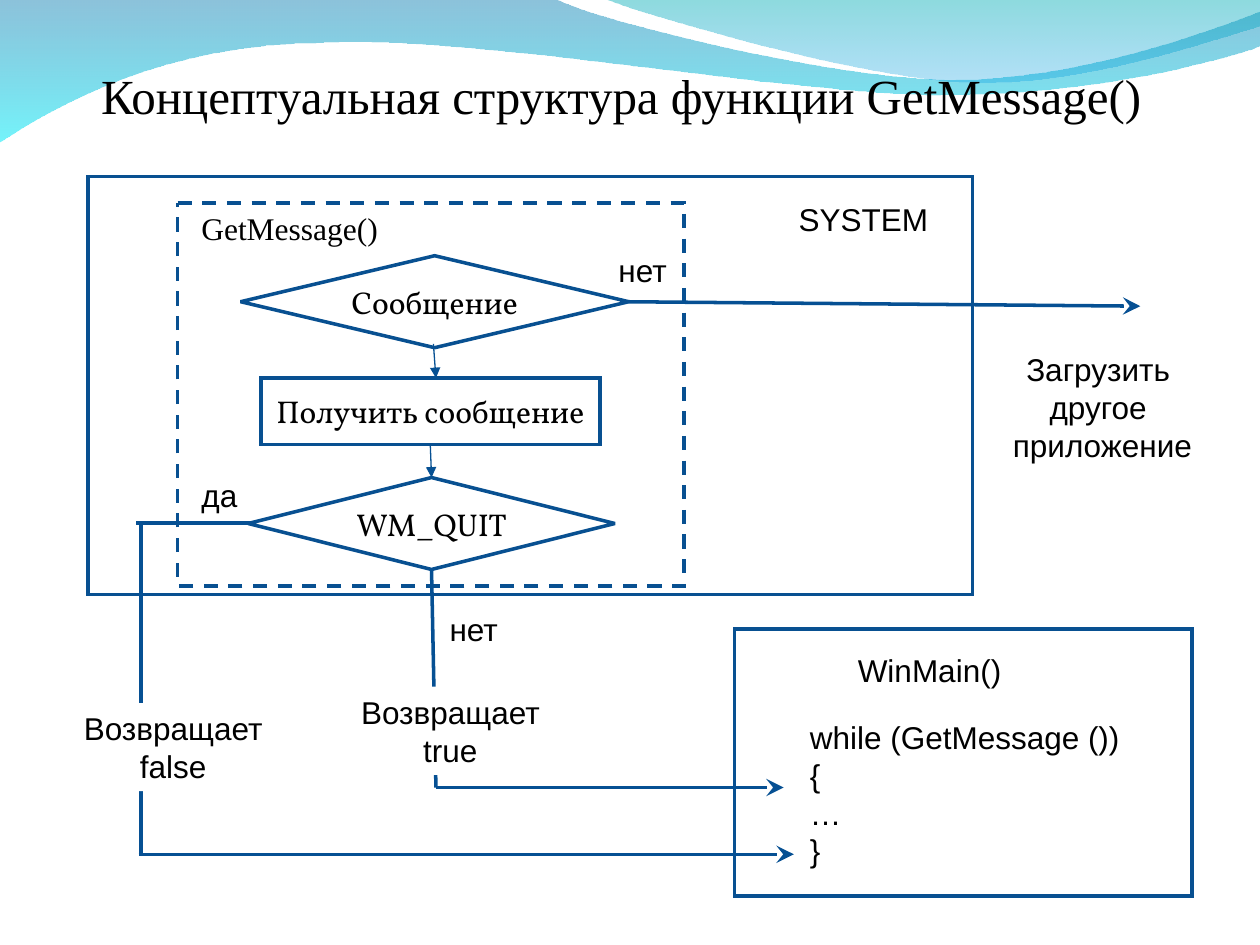
from dataclasses import dataclass
from itertools import chain
from typing import Optional

from lxml.etree import SubElement
from pptx import Presentation
from pptx.dml.color import RGBColor
from pptx.enum.dml import MSO_LINE
from pptx.enum.shapes import MSO_CONNECTOR, MSO_SHAPE as Preset
from pptx.enum.text import MSO_ANCHOR as Anchor, MSO_AUTO_SIZE, PP_ALIGN as Align
from pptx.oxml.ns import qn
from pptx.util import Inches, Pt

NAVY = RGBColor(0x08, 0x50, 0x91)
LINE_BLUE = RGBColor(0x06, 0x50, 0x93)
BLACK = RGBColor(0, 0, 0)
WHITE = RGBColor(0xFF, 0xFF, 0xFF)
WAVE_BLUE = RGBColor(0x00, 0x79, 0xAF)
WAVE_CYAN = RGBColor(0x00, 0xEB, 0xF8)
WAVE_TEAL = RGBColor(0x00, 0xAD, 0xB6)
WAVE_SKY = RGBColor(0x00, 0x9B, 0xE5)
TOP, LEFT, BOTTOM, RIGHT = range(4)
HEAD_SIZES = {"triangle": "med", "stealth": "lg"}


@dataclass
class Wave:
    start: tuple
    segments: list
    stops: list


@dataclass
class Block:
    name: str
    preset: Preset
    area: tuple
    text: str = ""
    dashed: bool = False


@dataclass
class Label:
    text: str
    area: tuple
    font: str = "Arial"
    align: Align = Align.LEFT
    filled: bool = False
    wrap: bool = False


@dataclass
class Link:
    start: tuple
    end: tuple
    width: float = 2
    head: Optional[str] = None
    source: Optional[tuple] = None
    target: Optional[tuple] = None


WAVES = [
    Wave((0, -0.01), [
        [(4.4, -0.01)],
        [(4.76, 0.17), (6.64, 0.63), (7.58, 0.63)],
        [(8.53, 0.63), (9.58, 0.26), (10, 0.09)],
        [(10.01, 0.36)],
        [(9.83, 0.44), (8.7, 0.76), (7.46, 0.75)],
        [(6.22, 0.75), (3.82, 0.28), (2.57, 0.34)],
        [(1.29, 0.35), (0.46, 0.83), (-0.01, 1.13)],
        [(0, -0.01)],
    ], [(WAVE_BLUE, 45), (WAVE_CYAN, 55)]),
    Wave((4.79, -0.01), [
        [(5.09, 0.11), (6.82, 0.62), (7.69, 0.65)],
        [(8.56, 0.69), (9.61, 0.32), (10, 0.21)],
        [(10, 0)],
        [(4.79, -0.01)],
    ], [(WAVE_TEAL, 45), (WAVE_SKY, 30)]),
]

BLOCKS = [
    Block("message", Preset.FLOWCHART_DECISION, (1.91, 2.03, 3.08, 0.73), "Сообщение"),
    Block("quit", Preset.FLOWCHART_DECISION, (1.97, 3.79, 2.91, 0.73), "WM_QUIT"),
    Block("receive", Preset.FLOWCHART_PROCESS, (2.07, 3, 2.69, 0.53), "Получить сообщение"),
    Block("win_main", Preset.FLOWCHART_PROCESS, (5.83, 4.99, 3.63, 2.12)),
    Block("system", Preset.FLOWCHART_PROCESS, (0.7, 1.4, 7.02, 3.32)),
    Block("get_message", Preset.FLOWCHART_PROCESS, (1.41, 1.61, 4.02, 3.04), dashed=True),
]

LINKS = [
    Link((3.44, 2.73), (3.46, 3), 0.75, "triangle"),
    Link((3.41, 3.53), (3.42, 3.79), 0.75, "triangle", ("receive", BOTTOM), ("quit", TOP)),
    Link((4.99, 2.4), (9.05, 2.43), head="stealth", source=("message", RIGHT)),
    Link((3.42, 4.52), (3.46, 6.25), source=("quit", BOTTOM)),
    Link((3.46, 6.25), (6.22, 6.25), head="stealth"),
    Link((1.08, 4.15), (2.02, 4.15)),
    Link((1.12, 4.14), (1.12, 6.79)),
    Link((1.1, 6.78), (6.3, 6.78), head="stealth"),
]

LABELS = [
    Label("WinMain()", (6.71, 5.12, 1.34, 0.4)),
    Label("while (GetMessage ())\n{\n…\n}", (6.33, 5.65, 2.66, 1.3)),
    Label("GetMessage()", (1.5, 1.61, 1.6, 0.4), font="Times New Roman"),
    Label("SYSTEM", (6.24, 1.54, 1.39, 0.4)),
    Label("да", (1.5, 3.73, 0.48, 0.4)),
    Label("нет", (3.47, 4.79, 0.59, 0.4)),
    Label("Возвращает\nfalse", (0.56, 5.58, 1.63, 0.7), align=Align.CENTER, filled=True),
    Label("Возвращает\ntrue", (2.76, 5.45, 1.63, 0.7), align=Align.CENTER, filled=True),
    Label("нет", (4.81, 1.94, 0.59, 0.4)),
    Label("Загрузить \nдругое \nприложение", (7.89, 2.73, 1.72, 1), align=Align.CENTER,
          filled=True, wrap=True),
]


def write_text(shape, text: str, *, font: str = "Arial", size: float = 18,
               align: Align = Align.LEFT, anchor: Anchor = Anchor.TOP,
               wrap: bool = False) -> None:
    frame = shape.text_frame
    frame.auto_size = MSO_AUTO_SIZE.NONE
    frame.word_wrap = wrap
    frame.vertical_anchor = anchor
    frame.text = text
    for para in frame.paragraphs:
        para.alignment = align
        for span in para.runs:
            span.font.name = font
            span.font.size = Pt(size)
            span.font.color.rgb = BLACK


def bend_segments(shape, segments: list) -> None:
    steps = iter(list(shape._element.iter(qn("a:lnTo"))))
    for segment in segments:
        parts = [next(steps) for _ in segment]
        if len(parts) == 3:
            curve = parts[0].makeelement(qn("a:cubicBezTo"))
            parts[0].addprevious(curve)
            for part in parts:
                curve.append(part[0])
                part.getparent().remove(part)


def draw_wave(page, wave: Wave) -> None:
    builder = page.shapes.build_freeform(*map(Inches, wave.start))
    points = chain.from_iterable(wave.segments)
    builder.add_line_segments([(Inches(x), Inches(y)) for x, y in points], close=True)
    shape = builder.convert_to_shape()
    bend_segments(shape, wave.segments)
    shape.shadow.inherit = False
    shape.line.fill.background()
    shape.fill.gradient()
    shape.fill.gradient_angle = 270
    for stop, (color, _) in zip(shape.fill.gradient_stops, wave.stops):
        stop.color.rgb = color
    tints = shape._element.spPr.iter(qn("a:srgbClr"))
    for tint, (_, opacity) in zip(tints, wave.stops):
        SubElement(tint, qn("a:alpha"), val=str(opacity * 1000))


def draw_block(page, block: Block):
    shape = page.shapes.add_shape(block.preset, *map(Inches, block.area))
    shape.shadow.inherit = False
    shape.fill.background()
    shape.line.color.rgb = NAVY
    shape.line.width = Pt(2)
    if block.dashed:
        shape.line.dash_style = MSO_LINE.DASH
    SubElement(shape.line._get_or_add_ln(), qn("a:miter"), lim="800000")
    if block.text:
        write_text(shape, block.text, font="Vollkorn", align=Align.CENTER, anchor=Anchor.MIDDLE)
    return shape


def draw_link(page, link: Link, blocks: dict) -> None:
    line = page.shapes.add_connector(MSO_CONNECTOR.STRAIGHT, *map(Inches, link.start + link.end))
    if link.source:
        line.begin_connect(blocks[link.source[0]], link.source[1])
    if link.target:
        line.end_connect(blocks[link.target[0]], link.target[1])
    line.line.color.rgb = LINE_BLUE
    line.line.width = Pt(link.width)
    if link.head:
        size = HEAD_SIZES[link.head]
        SubElement(line.line._get_or_add_ln(), qn("a:tailEnd"), type=link.head, w=size, len=size)
    SubElement(line._element.spPr, qn("a:effectLst"))


def draw_label(page, label: Label) -> None:
    box = page.shapes.add_textbox(*map(Inches, label.area))
    if label.filled:
        box.fill.solid()
        box.fill.fore_color.rgb = WHITE
    write_text(box, label.text, font=label.font, align=label.align, wrap=label.wrap)


def main() -> None:
    deck = Presentation()
    deck.slide_width, deck.slide_height = Inches(10), Inches(7.5)
    page = deck.slides.add_slide(deck.slide_layouts[5])
    for wave in WAVES:
        draw_wave(page, wave)
    blocks = {block.name: draw_block(page, block) for block in BLOCKS}
    for link in LINKS:
        draw_link(page, link, blocks)
    for label in LABELS:
        draw_label(page, label)
    title = page.shapes.title
    title.left, title.top, title.width, title.height = map(Inches, (0.36, 0.47, 9.14, 0.57))
    write_text(title, "Концептуальная структура функции GetMessage()", font="Times New Roman",
               size=28, align=Align.CENTER, wrap=True)
    page.shapes._spTree.append(title._element)
    deck.save("out.pptx")


if __name__ == "__main__":
    main()
